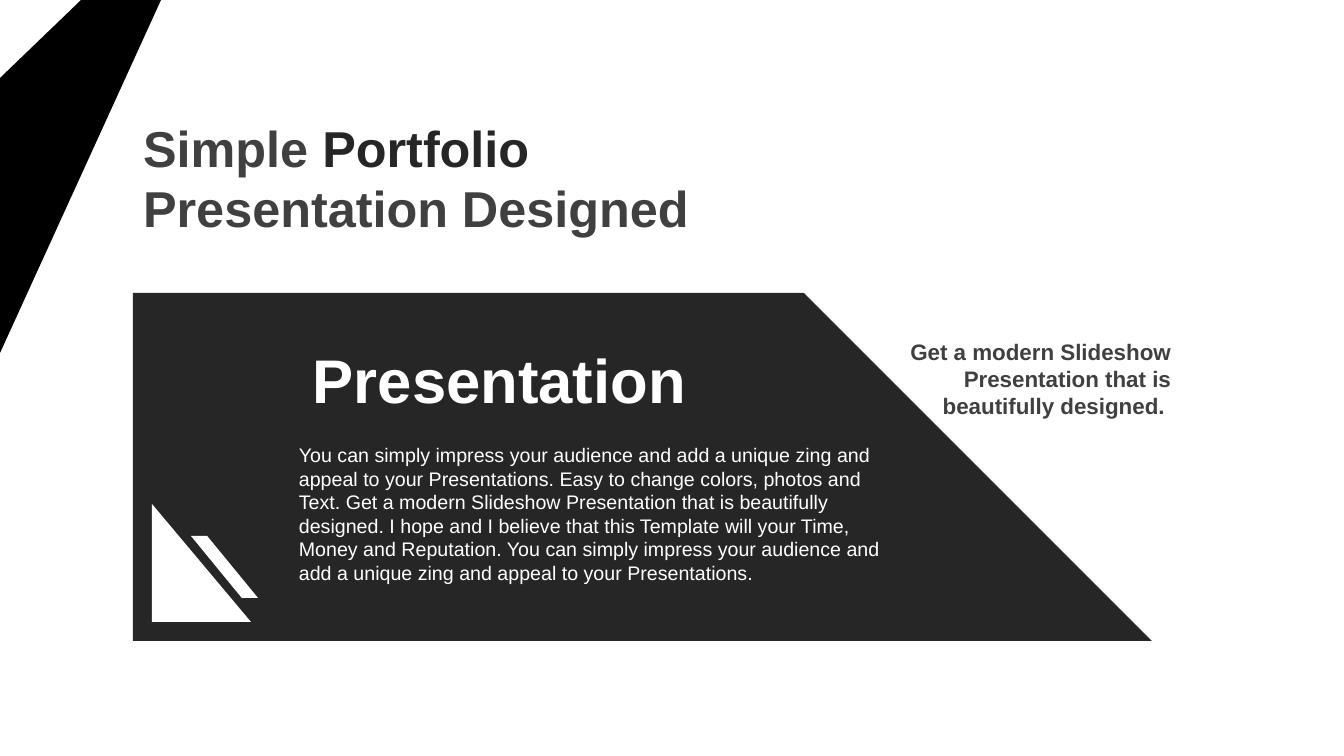
from dataclasses import dataclass

from pptx import Presentation
from pptx.dml.color import RGBColor
from pptx.enum.shapes import MSO_SHAPE
from pptx.enum.text import MSO_ANCHOR, MSO_AUTO_SIZE, PP_ALIGN
from pptx.util import Pt

EMU_PER_PX = 914400 / 100.8


@dataclass(frozen=True)
class Theme:
    """Colours, font and type sizes of the slide."""

    font: str = "Arial"
    black: str = "000000"
    panel: str = "262626"
    grey: str = "404040"
    white: str = "FFFFFF"
    title_size: int = 36
    heading_size: int = 44
    caption_size: int = 16
    body_size: int = 14


THEME = Theme()
BODY = (
    "You can simply impress your audience and add a unique zing and appeal to your "
    "Presentations. Easy to change colors, photos and Text. Get a modern Slideshow "
    "Presentation that is beautifully designed. I hope and I believe that this Template "
    "will your Time, Money and Reputation. You can simply impress your audience and add "
    "a unique zing and appeal to your Presentations."
)


def px(length):
    """Turn pixels into EMU."""
    return round(length * EMU_PER_PX)


def paint(shape, color):
    """Give a shape a plain fill without line or shadow."""
    shape.shadow.inherit = False
    shape.fill.solid()
    shape.fill.fore_color.rgb = RGBColor.from_string(color)
    shape.line.fill.background()


def add_polygon(page, points, color):
    """Draw a closed outline through the points."""
    builder = page.shapes.build_freeform(*points[0], scale=EMU_PER_PX)
    builder.add_line_segments(points[1:], close=True)
    paint(builder.convert_to_shape(), color)


def add_preset(page, kind, place, color):
    """Draw a preset shape and return it."""
    shape = page.shapes.add_shape(kind, *map(px, place))
    paint(shape, color)
    return shape


def format_span(span, size, color, bold):
    """Set the type of one run."""
    span.font.name = THEME.font
    span.font.size = Pt(size)
    span.font.bold = bold
    span.font.color.rgb = RGBColor.from_string(color)


def add_text(page, place, text, size, color, bold=False, align=PP_ALIGN.LEFT):
    """Add a wrapping text box that fits its text, and return it."""
    box = page.shapes.add_textbox(*map(px, place))
    frame = box.text_frame
    frame.text = text
    frame.word_wrap = True
    frame.auto_size = MSO_AUTO_SIZE.SHAPE_TO_FIT_TEXT
    para = frame.paragraphs[0]
    para.alignment = align
    format_span(para.runs[0], size, color, bold)
    return box


def set_title(page, place, spans):
    """Place the title and fill it with coloured spans."""
    title = page.shapes.title
    title.left, title.top, title.width, title.height = map(px, place)
    frame = title.text_frame
    frame.word_wrap = True
    frame.auto_size = MSO_AUTO_SIZE.NONE
    frame.vertical_anchor = MSO_ANCHOR.MIDDLE
    para = frame.paragraphs[0]
    para.alignment = PP_ALIGN.LEFT
    for text, color in spans:
        span = para.add_run()
        span.text = text
        format_span(span, THEME.title_size, color, True)


def add_heading(page, place, text):
    """Add the large panel heading with wide side insets."""
    box = add_text(page, place, text, THEME.heading_size, THEME.white, bold=True)
    frame = box.text_frame
    frame.auto_size = MSO_AUTO_SIZE.NONE
    frame.vertical_anchor = MSO_ANCHOR.MIDDLE
    frame.margin_left = frame.margin_right = px(24)
    frame.margin_top = frame.margin_bottom = px(8)


def add_emblem(page):
    """Draw the white triangle and the slanted bar beside it."""
    add_preset(page, MSO_SHAPE.RIGHT_TRIANGLE, (152, 504, 99, 118), THEME.white)
    bar = add_preset(page, MSO_SHAPE.PARALLELOGRAM, (191, 536, 67, 62), THEME.white)
    bar.adjustments[0] = 0.82
    bar.element.spPr.xfrm.set("flipV", "1")


def main():
    """Build the slide and save it."""
    deck = Presentation()
    deck.slide_width, deck.slide_height = px(1344), px(756)
    page = deck.slides.add_slide(deck.slide_layouts.get_by_name("Title Only"))

    add_polygon(page, [(133, 293), (804, 293), (1152, 641), (133, 641)], THEME.panel)
    set_title(page, (133, 101, 600, 153), [
        ("Simple ", THEME.grey),
        ("Portfolio ", THEME.panel),
        ("Presentation Designed", THEME.grey),
    ])
    add_emblem(page)
    add_text(
        page, (883, 333, 298, 92),
        "Get a modern Slideshow Presentation that is beautifully designed. ",
        THEME.caption_size, THEME.grey, bold=True, align=PP_ALIGN.RIGHT,
    )
    add_text(page, (289, 438, 622, 152), BODY, THEME.body_size, THEME.white)
    add_heading(page, (289, 337, 522, 84), "Presentation")
    add_polygon(page, [(0, 78), (81, 0), (161, 0), (0, 353)], THEME.black)

    deck.save("out.pptx")


if __name__ == "__main__":
    main()
